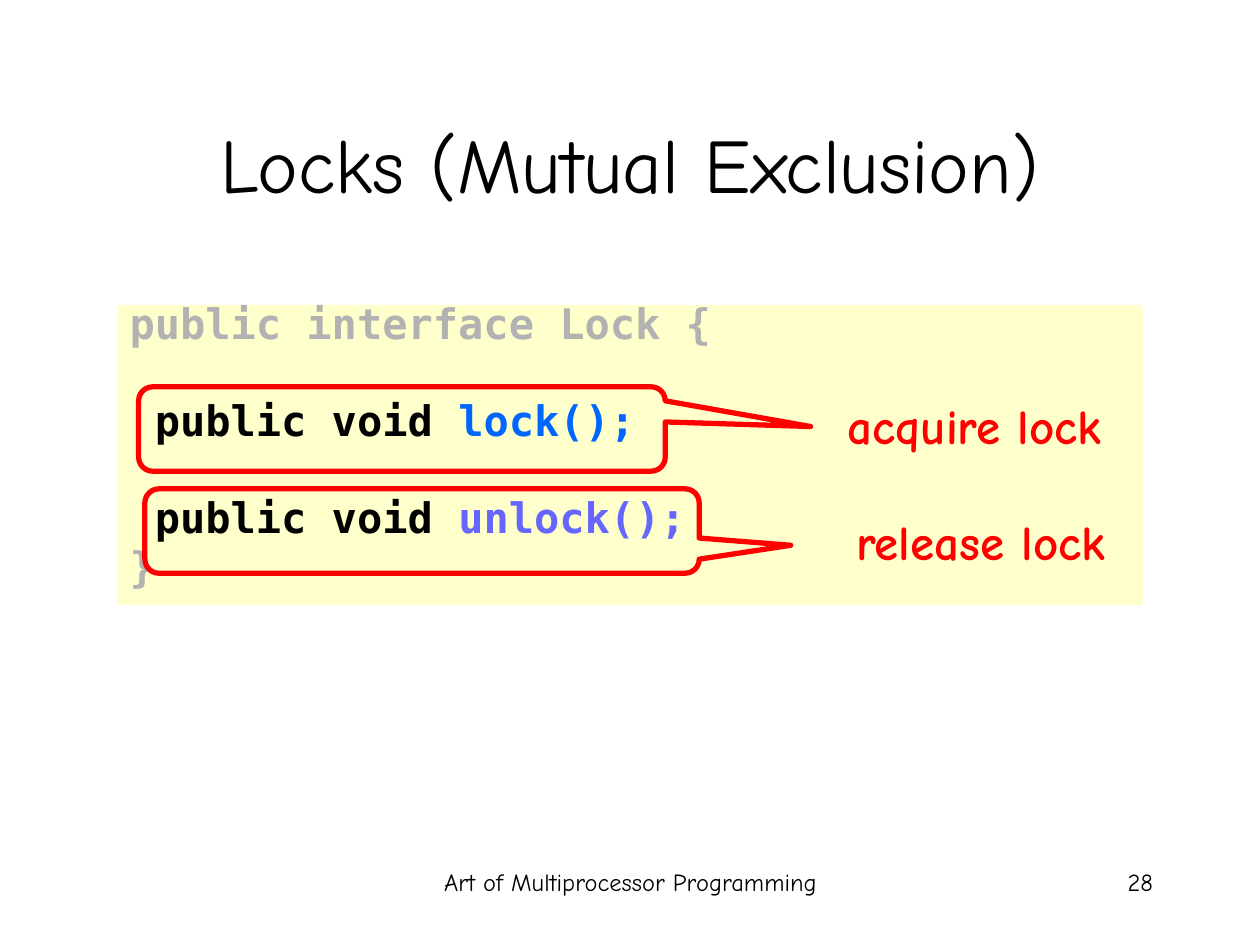
from pptx import Presentation
from pptx.dml.color import RGBColor
from pptx.enum.shapes import MSO_SHAPE
from pptx.enum.text import MSO_ANCHOR, PP_ALIGN
from pptx.util import Inches, Pt

BLACK = RGBColor(0x00, 0x00, 0x00)
RED = RGBColor(0xFF, 0x00, 0x00)
GRAY = RGBColor(0xB2, 0xB2, 0xB2)
BLUE = RGBColor(0x00, 0x66, 0xFF)
VIOLET = RGBColor(0x66, 0x66, 0xFF)
CREAM = RGBColor(0xFF, 0xFF, 0xCC)

LINE_GAP = 7.9
SECTION_GAP = 35.3


def write_run(paragraph, text, *, font, size, color=BLACK, bold=False):
    run = paragraph.add_run()
    run.text = text
    run.font.name = font
    run.font.size = Pt(size)
    run.font.bold = bold
    run.font.color.rgb = color


class LockSlide:
    prose_font = "Comic Neue"
    code_font = "DejaVu Sans Mono"

    def __init__(self, deck):
        self.slide = deck.slides.add_slide(deck.slide_layouts[5])

    def title(self, text, left, top, width, height):
        heading = self.slide.shapes.title
        heading.left, heading.top = Inches(left), Inches(top)
        heading.width, heading.height = Inches(width), Inches(height)
        heading.text_frame.vertical_anchor = MSO_ANCHOR.MIDDLE
        paragraph = heading.text_frame.paragraphs[0]
        paragraph.alignment = PP_ALIGN.CENTER
        write_run(paragraph, text, font=self.prose_font, size=44)

    def label(self, text, left, top, width, height,
              align=PP_ALIGN.CENTER, **style):
        label = self.slide.shapes.add_textbox(
            Inches(left), Inches(top), Inches(width), Inches(height))
        label.text_frame.word_wrap = True
        paragraph = label.text_frame.paragraphs[0]
        paragraph.alignment = align
        write_run(paragraph, text, font=self.prose_font, **style)

    def shape(self, kind, left, top, width, height):
        shape = self.slide.shapes.add_shape(
            kind, Inches(left), Inches(top), Inches(width), Inches(height))
        shape.shadow.inherit = False
        return shape

    def code(self, lines, left, top, width, height):
        panel = self.shape(MSO_SHAPE.RECTANGLE, left, top, width, height)
        panel.fill.solid()
        panel.fill.fore_color.rgb = CREAM
        panel.line.fill.background()
        frame = panel.text_frame
        frame.word_wrap = True
        frame.vertical_anchor = MSO_ANCHOR.TOP
        frame.margin_top = Inches(0.05)
        for index, (gap, parts) in enumerate(lines):
            paragraph = frame.add_paragraph() if index else frame.paragraphs[0]
            paragraph.alignment = PP_ALIGN.LEFT
            paragraph.line_spacing = 0.7
            paragraph.space_before = Pt(gap)
            for text, color in parts:
                write_run(paragraph, text, font=self.code_font, size=24,
                          color=color, bold=True)

    def callout(self, left, top, width, height, tip_x, tip_y):
        callout = self.shape(MSO_SHAPE.ROUNDED_RECTANGULAR_CALLOUT,
                             left, top, width, height)
        callout.adjustments[0] = tip_x
        callout.adjustments[1] = tip_y
        callout.adjustments[2] = 0.167
        callout.fill.background()
        callout.line.color.rgb = RED
        callout.line.width = Pt(3)


def main():
    deck = Presentation()
    deck.slide_width, deck.slide_height = Inches(10), Inches(7.5)
    page = LockSlide(deck)

    page.title("Locks (Mutual Exclusion)", 0.75, 0.67, 8.5, 1.25)
    page.label("Art of Multiprocessor Programming", 3.42, 6.83, 3.17, 0.5,
               size=14)
    page.label("28", 7.17, 6.83, 2.08, 0.5, align=PP_ALIGN.RIGHT, size=14)

    page.code([
        (0, [("public interface Lock {", GRAY)]),
        (SECTION_GAP, [(" public void ", BLACK), ("lock();", BLUE)]),
        (SECTION_GAP, [(" public void ", BLACK), ("unlock();", VIOLET)]),
        (LINE_GAP, [("}", GRAY)]),
    ], 0.93, 2.42, 8.14, 2.38)

    page.callout(1.15, 3.88, 4.4, 0.67, 0.665, 0.169)
    page.label("release lock", 6.49, 4.01, 2.59, 0.57,
               size=28, color=RED, bold=True)
    page.callout(1.1, 3.07, 4.18, 0.67, 0.776, -0.029)
    page.label("acquire lock", 6.4, 3.09, 2.67, 0.57,
               size=28, color=RED, bold=True)

    deck.save("out.pptx")


if __name__ == "__main__":
    main()
